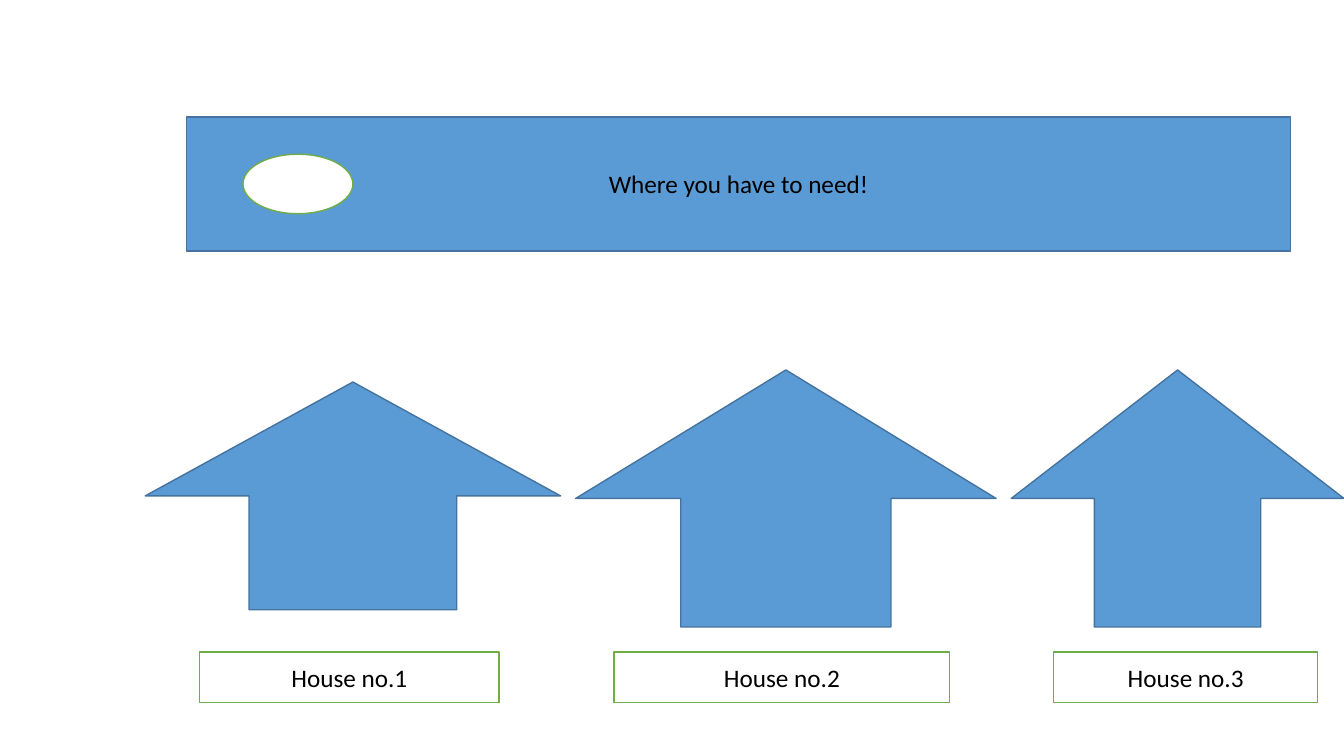
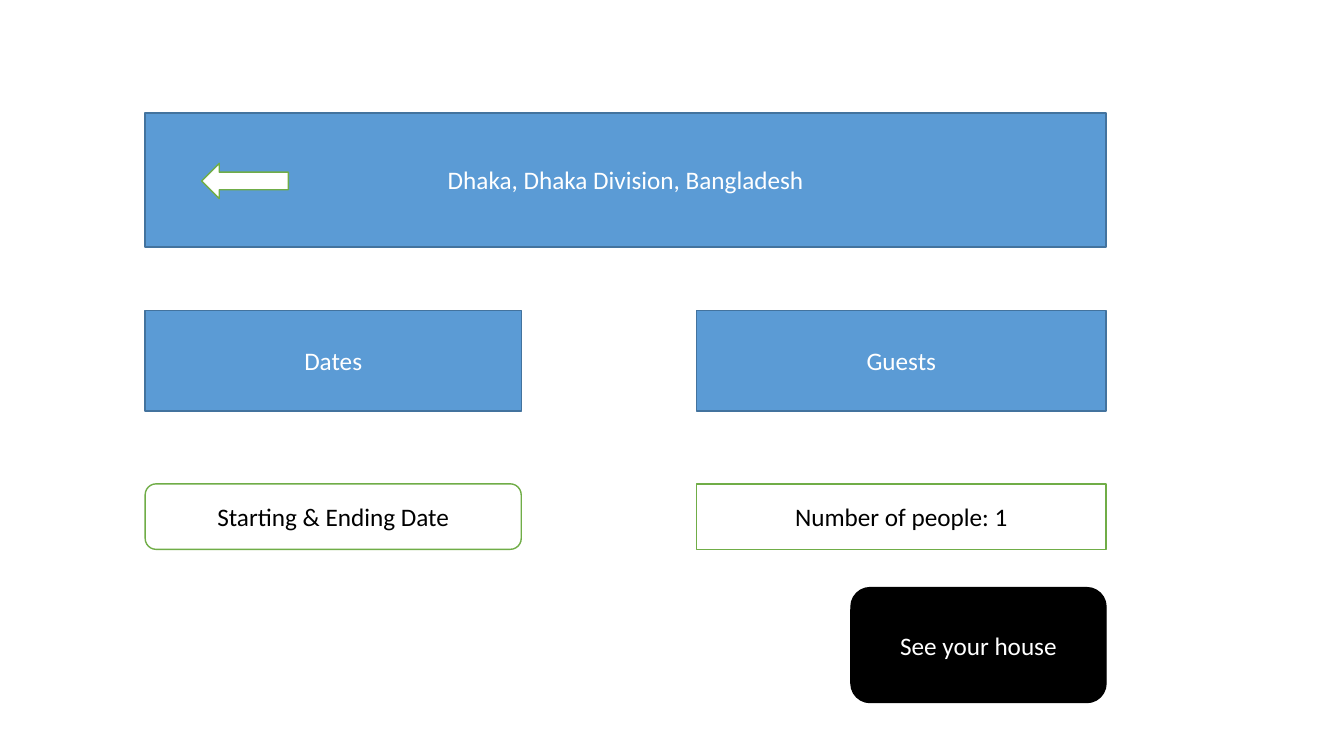
from pptx import Presentation
from pptx import util as u
from pptx.dml import color
from pptx.enum import shapes, text

PX = 9144
FONT = "Calibri"
COLORS = {
    "blue": "5B9BD5",
    "navy": "43739E",
    "green": "70AD47",
    "white": "FFFFFF",
    "black": "000000",
}
STYLES = {
    "solid": ("blue", "navy", "white"),
    "outline": ("white", "green", "black"),
    "button": ("black", "black", "white"),
}
KIND = shapes.MSO_SHAPE


def px(length):
    return u.Emu(length * PX)


def rgb(name):
    return color.RGBColor.from_string(COLORS[name])


def write_text(shape, words, size=18, ink="black", align=text.PP_ALIGN.CENTER):
    frame = shape.text_frame
    frame.word_wrap = True
    frame.vertical_anchor = text.MSO_ANCHOR.MIDDLE
    para = frame.paragraphs[0]
    para.alignment = align
    span = para.add_run()
    span.text = words
    span.font.name = FONT
    span.font.size = u.Pt(size)
    span.font.color.rgb = rgb(ink)


def add_box(page, left, top, width, height, words="", style="solid",
            kind=KIND.RECTANGLE, ink=None):
    fill, line, default_ink = STYLES[style]
    box = page.shapes.add_shape(kind, px(left), px(top), px(width), px(height))
    box.shadow.inherit = False
    box.fill.solid()
    box.fill.fore_color.rgb = rgb(fill)
    box.line.color.rgb = rgb(line)
    box.line.width = u.Pt(1)
    if words:
        write_text(box, words, ink=ink or default_ink)
    return box


def add_banner(page, left, top, width, words, ink="white"):
    return add_box(page, left, top, width, 133, words, ink=ink)


def add_house(page, number, roof, label):
    add_box(page, *roof, kind=KIND.UP_ARROW)
    left, width = label
    add_box(page, left, 647, width, 50, f"House no.{number}", style="outline")


def add_field(page, left, width, heading, value, kind=KIND.RECTANGLE):
    add_box(page, left, 308, width, 100, heading)
    add_box(page, left, 480, width, 65, value, style="outline", kind=kind)


def build_houses(page):
    add_banner(page, 185, 116, 1095, "Where you have to need!", ink="black")
    add_box(page, 241, 153, 109, 59, style="outline", kind=KIND.OVAL)
    houses = [
        ((144, 379, 412, 226), (198, 297)),
        ((571, 367, 417, 255), (609, 333)),
        ((1003, 367, 330, 255), (1045, 262)),
    ]
    for number, (roof, label) in enumerate(houses, start=1):
        add_house(page, number, roof, label)


def build_booking(page):
    left, right = 144, 1097
    guests_width, button_width = 406, 253
    add_banner(page, left, 112, right - left, "Dhaka, Dhaka Division, Bangladesh")
    add_box(page, 200, 162, 86, 35, style="outline", kind=KIND.LEFT_ARROW)
    add_field(page, left, 373, "Dates", "Starting & Ending Date",
              kind=KIND.ROUNDED_RECTANGLE)
    add_field(page, right - guests_width, guests_width, "Guests",
              "Number of people: 1")
    add_box(page, right - button_width, 583, button_width, 114, "See your house",
            style="button", kind=KIND.ROUNDED_RECTANGLE)


def main():
    deck = Presentation()
    deck.slide_width, deck.slide_height = px(1333), px(750)
    blank = deck.slide_layouts[6]
    for build in (build_houses, build_booking):
        build(deck.slides.add_slide(blank))
    deck.save("out.pptx")


if __name__ == "__main__":
    main()
